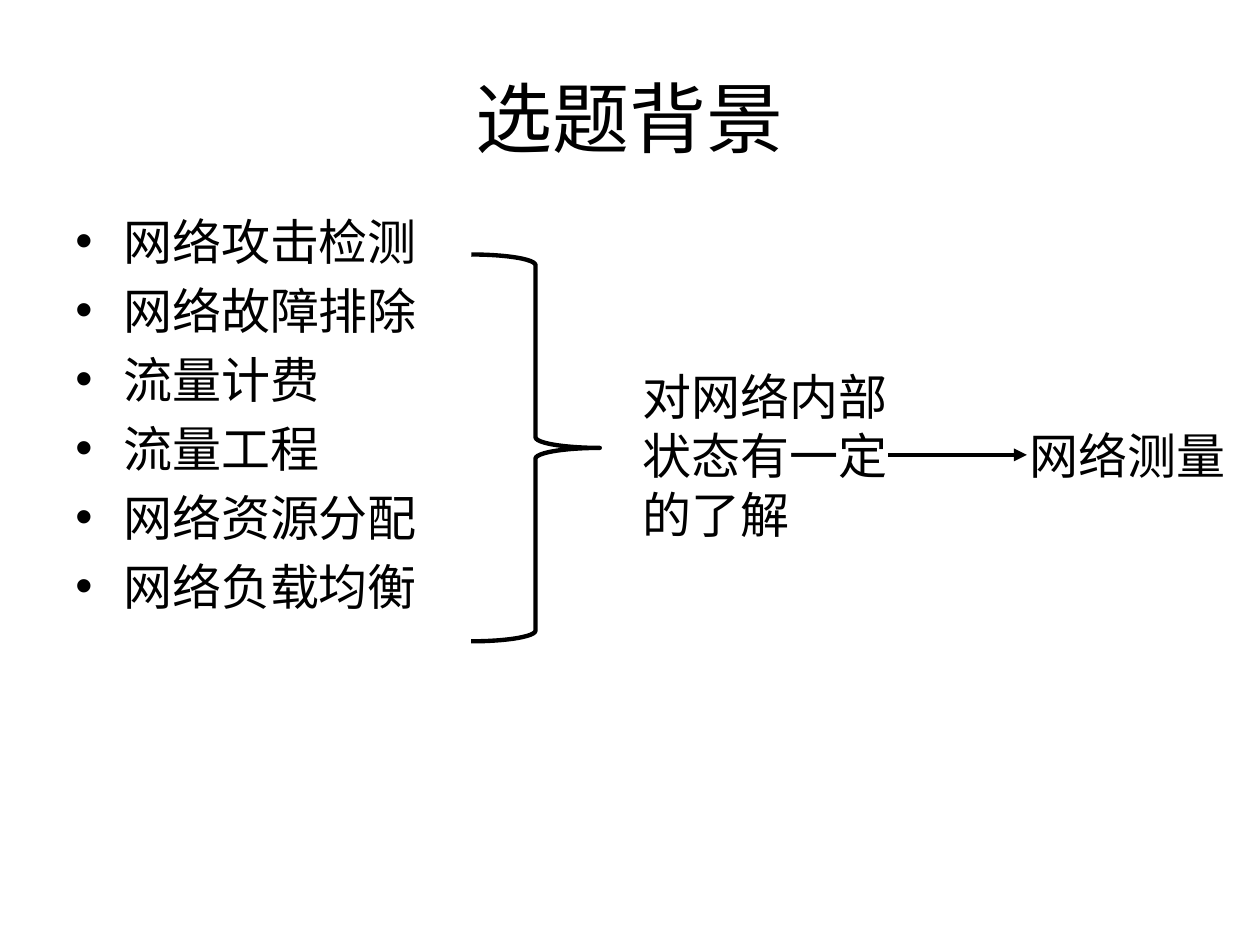
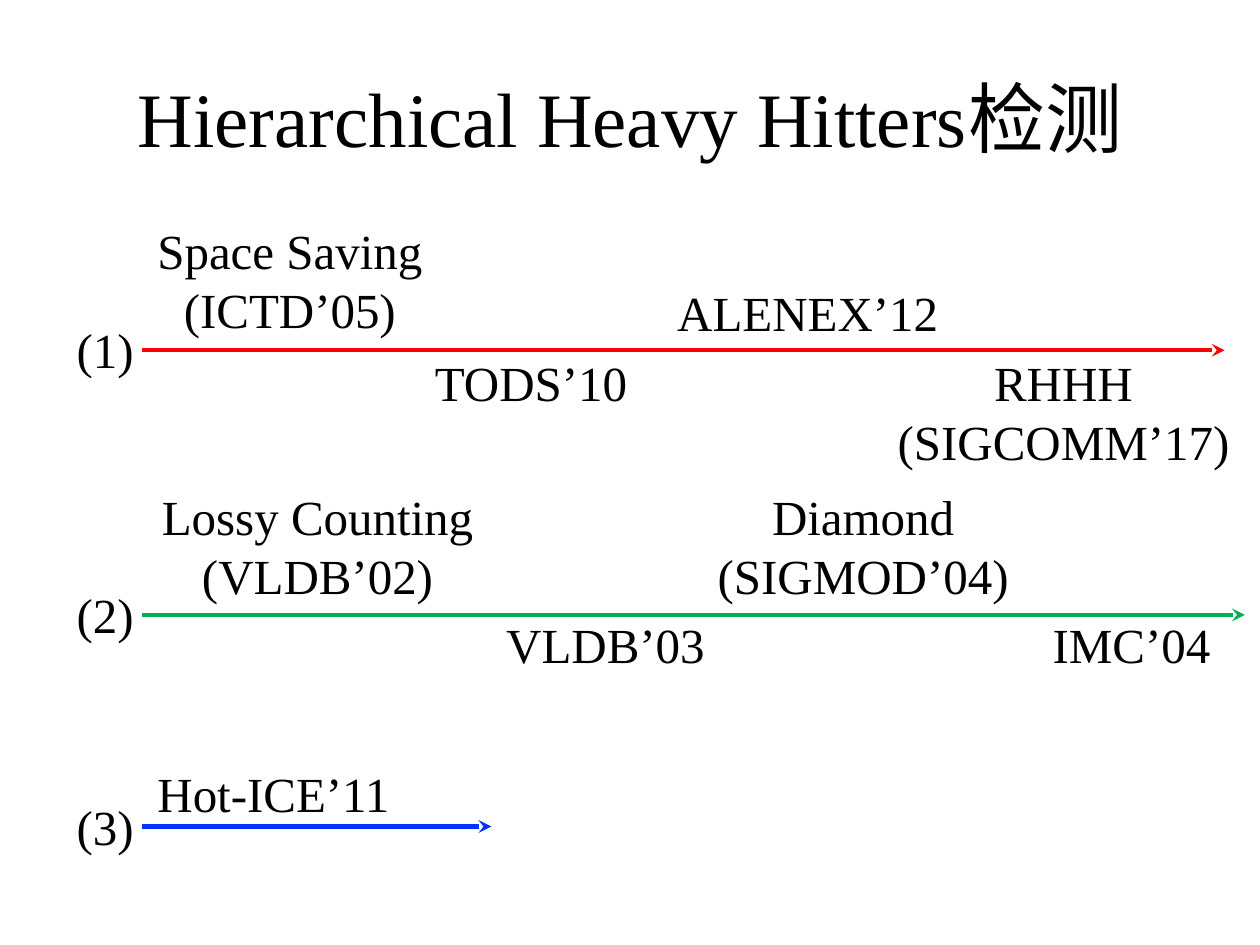
from dataclasses import dataclass

from lxml.etree import SubElement
from pptx import Presentation
from pptx.dml.color import RGBColor
from pptx.enum.shapes import MSO_CONNECTOR, MSO_SHAPE
from pptx.enum.text import MSO_ANCHOR, MSO_AUTO_SIZE, PP_ALIGN
from pptx.oxml.ns import qn
from pptx.util import Pt

PX = 9144  # 100 px to the inch


@dataclass(frozen=True)
class Theme:
    font: str = "Times New Roman"
    title_size: int = 44
    text_size: int = 28
    line_width: float = 2.5
    ink: str = "000000"
    red: str = "FF0000"
    green: str = "00B050"
    blue: str = "0033FF"


THEME = Theme()

TOPICS = ["网络攻击检测", "网络故障排除", "流量计费",
          "流量工程", "网络资源分配", "网络负载均衡"]

# Each lane: colour, line y, arrow end x, labels as (text, left, top, width)
LANES = [
    (THEME.red, 278, 972, [
        ("Space Saving\n(ICTD’05)", 114, 170, 232),
        ("TODS’10", 335, 275, 173),
        ("ALENEX’12", 524, 219, 234),
        ("RHHH\n(SIGCOMM’17)", 700, 275, 288),
    ]),
    (THEME.green, 488, 988, [
        ("Lossy Counting\n(VLDB’02)", 114, 381, 276),
        ("VLDB’03", 390, 483, 181),
        ("Diamond\n(SIGMOD’04)", 555, 381, 260),
        ("IMC’04", 823, 483, 150),
    ]),
    (THEME.blue, 656, 390, [
        ("Hot-ICE’11", 114, 601, 206),
    ]),
]
LANE_LEFT = 113
NUMBER_LEFT, NUMBER_WIDTH, NUMBER_RISE = 51, 71, 29


def emu(*lengths):
    return [length * PX for length in lengths]


def style_text(tf, size, align):
    for p in tf.paragraphs:
        p.alignment = align
        for r in p.runs:
            r.font.name = THEME.font
            r.font.size = Pt(size)
            r.font.color.rgb = RGBColor.from_string(THEME.ink)


def add_titled_slide(prs, title):
    s = prs.slides.add_slide(prs.slide_layouts[5])
    sp = s.shapes.title
    sp.left, sp.top, sp.width, sp.height = emu(50, 30, 900, 125)
    tf = sp.text_frame
    tf.text = title
    tf.vertical_anchor = MSO_ANCHOR.MIDDLE
    style_text(tf, THEME.title_size, PP_ALIGN.CENTER)
    return s


def add_label(s, text, left, top, width, align=PP_ALIGN.LEFT, lines=None):
    """Add a text box; lines is given only when the text has to wrap."""
    height = 10 + 47 * (lines or text.count("\n") + 1)
    tf = s.shapes.add_textbox(*emu(left, top, width, height)).text_frame
    tf.text = text
    tf.word_wrap = lines is not None
    tf.auto_size = MSO_AUTO_SIZE.SHAPE_TO_FIT_TEXT
    style_text(tf, THEME.text_size, align)


def add_bullets(s, items, left, top, width, height):
    tf = s.shapes.add_textbox(*emu(left, top, width, height)).text_frame
    tf.text = "\n".join(items)
    tf.word_wrap = True
    style_text(tf, THEME.text_size, PP_ALIGN.LEFT)
    for p in tf.paragraphs:
        p.space_before = Pt(5.8)
        pPr = p._p.get_or_add_pPr()
        pPr.set("marL", str(38 * PX))
        pPr.set("indent", str(-38 * PX))
        SubElement(pPr, qn("a:buFont"), typeface="Arial")
        SubElement(pPr, qn("a:buChar"), char="•")


def style_line(line, color):
    line.color.rgb = RGBColor.from_string(color)
    line.width = Pt(THEME.line_width)


def add_arrow(s, x1, x2, y, color, head):
    arrow = s.shapes.add_connector(MSO_CONNECTOR.STRAIGHT, *emu(x1, y, x2, y))
    style_line(arrow.line, color)
    SubElement(arrow.line._get_or_add_ln(), qn("a:tailEnd"), type=head)
    SubElement(arrow._element.spPr, qn("a:effectLst"))


def add_brace(s, left, top, width, height):
    brace = s.shapes.add_shape(MSO_SHAPE.RIGHT_BRACE,
                               *emu(left, top, width, height))
    brace.shadow.inherit = False
    brace.fill.background()
    style_line(brace.line, THEME.ink)


def build_background(prs):
    s = add_titled_slide(prs, "选题背景")
    add_bullets(s, TOPICS, 50, 163, 900, 495)
    add_brace(s, 374, 202, 102, 307)
    add_label(s, "对网络内部状态有一定的了解", 500, 286, 220, lines=3)
    add_label(s, "网络测量", 807, 333, 181)
    add_arrow(s, 705, 815, 361, THEME.ink, "triangle")


def build_timelines(prs):
    s = add_titled_slide(prs, "Hierarchical Heavy Hitters检测")
    for number, (color, y, end, labels) in enumerate(LANES, 1):
        add_arrow(s, LANE_LEFT, end, y, color, "stealth")
        add_label(s, f"({number})", NUMBER_LEFT, y - NUMBER_RISE, NUMBER_WIDTH)
        for text, left, top, width in labels:
            add_label(s, text, left, top, width, PP_ALIGN.CENTER)


def main():
    prs = Presentation()
    prs.slide_width, prs.slide_height = emu(1000, 750)
    build_background(prs)
    build_timelines(prs)
    prs.save("out.pptx")


if __name__ == "__main__":
    main()
